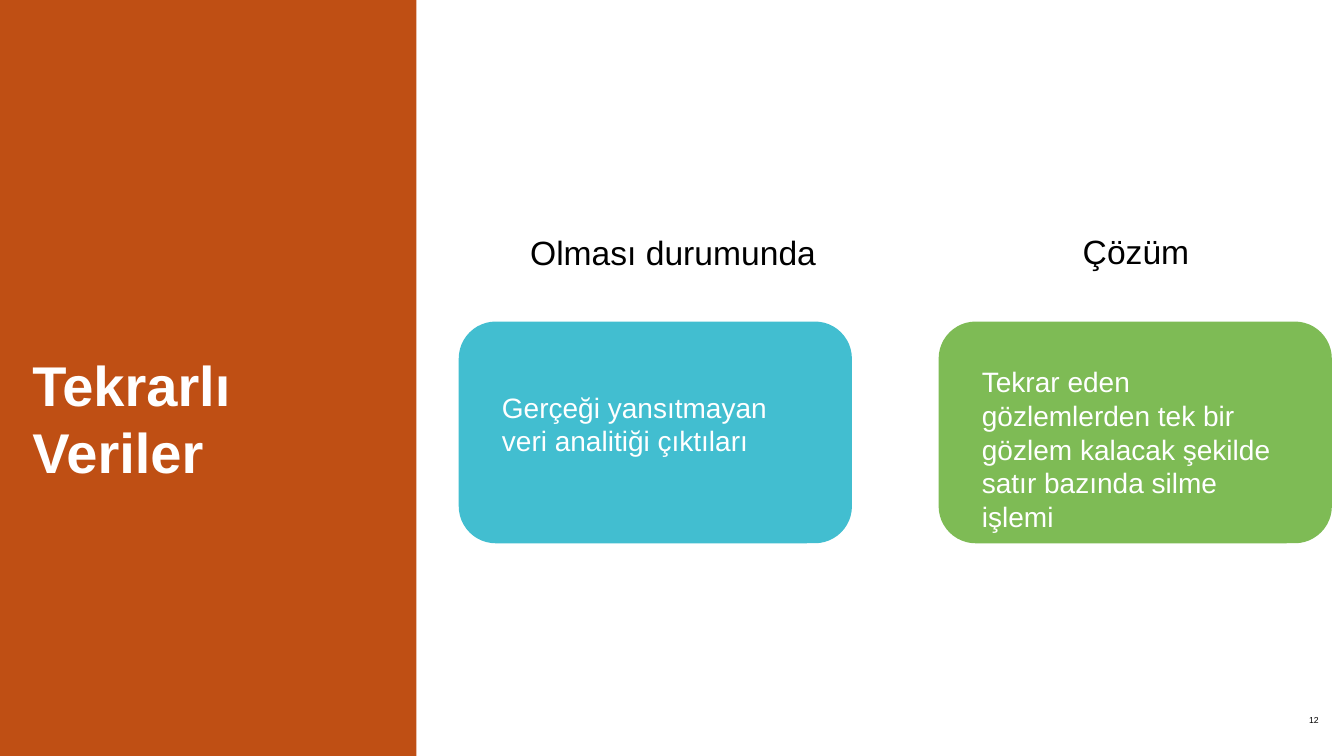
from dataclasses import dataclass

from pptx import Presentation
from pptx.dml.color import RGBColor
from pptx.enum.shapes import MSO_SHAPE
from pptx.enum.text import MSO_ANCHOR, PP_ALIGN
from pptx.util import Inches, Pt


@dataclass(frozen=True)
class Theme:
    """Colours, font and type sizes of the slide."""
    font: str = "Arial"
    rust: str = "BF4F14"
    teal: str = "42BED0"
    green: str = "7EBB55"
    white: str = "FFFFFF"
    black: str = "000000"
    title: float = 40
    heading: float = 24
    body: float = 20
    number: float = 6.2


class SlideBuilder:
    """Draws styled elements on the current slide."""

    def __init__(self, slide, theme):
        """Keep the slide and its theme."""
        self.slide = slide
        self.theme = theme

    def block(self, kind, left, top, width, height, color):
        """Add a plain filled shape."""
        block = self.slide.shapes.add_shape(
            kind, Inches(left), Inches(top), Inches(width), Inches(height))
        block.shadow.inherit = False
        block.fill.solid()
        block.fill.fore_color.rgb = RGBColor.from_string(color)
        block.line.fill.background()
        return block

    def text(self, words, left, top, width, height, size, color, bold=False,
             insets=(0.1, 0.05), anchor=MSO_ANCHOR.TOP, align=PP_ALIGN.LEFT):
        """Add a wrapped text box with one run."""
        frame = self.slide.shapes.add_textbox(
            Inches(left), Inches(top), Inches(width), Inches(height)).text_frame
        frame.word_wrap = True
        frame.vertical_anchor = anchor
        frame.margin_left = frame.margin_right = Inches(insets[0])
        frame.margin_top = frame.margin_bottom = Inches(insets[1])
        paragraph = frame.paragraphs[0]
        paragraph.alignment = align
        run = paragraph.add_run()
        run.text = words
        run.font.name = self.theme.font
        run.font.size = Pt(size)
        run.font.bold = bold
        run.font.color.rgb = RGBColor.from_string(color)

    def card(self, left, color, words, text_top, text_height):
        """Add a rounded card with its text."""
        card = self.block(MSO_SHAPE.ROUNDED_RECTANGLE, left, 3.19, 3.9, 2.2, color)
        card.adjustments[0] = 0.167
        self.text(words, left + 0.33, text_top, 3.24, text_height,
                  self.theme.body, self.theme.white)


def main():
    """Build and save the slide."""
    deck = Presentation()
    deck.slide_width, deck.slide_height = Inches(13.33), Inches(7.5)
    theme = Theme()
    builder = SlideBuilder(deck.slides.add_slide(deck.slide_layouts[6]), theme)

    builder.block(MSO_SHAPE.RECTANGLE, 0, -0.03, 4.13, 7.61, theme.rust)
    builder.text("Tekrarlı Veriler", 0.19, 3.35, 3.75, 0.94, theme.title,
                 theme.white, bold=True, insets=(0.13, 0.13))
    builder.text("12", 12.41, 6.86, 0.8, 0.57, theme.number, theme.black,
                 insets=(0.13, 0.13), anchor=MSO_ANCHOR.MIDDLE, align=PP_ALIGN.RIGHT)

    builder.text("Olması durumunda", 5.16, 2.25, 3.24, 0.5, theme.heading, theme.black)
    builder.text("Çözüm", 10.64, 2.24, 2.72, 0.5, theme.heading, theme.black)

    cards = (
        (theme.teal, "Gerçeği yansıtmayan veri analitiği çıktıları", 3.82, 0.77),
        (theme.green, "Tekrar eden gözlemlerden tek bir gözlem kalacak şekilde "
                      "satır bazında silme işlemi", 3.57, 1.45),
    )
    for column, (color, words, text_top, text_height) in enumerate(cards):
        builder.card(4.55 + 4.76 * column, color, words, text_top, text_height)

    deck.save("out.pptx")


if __name__ == "__main__":
    main()
